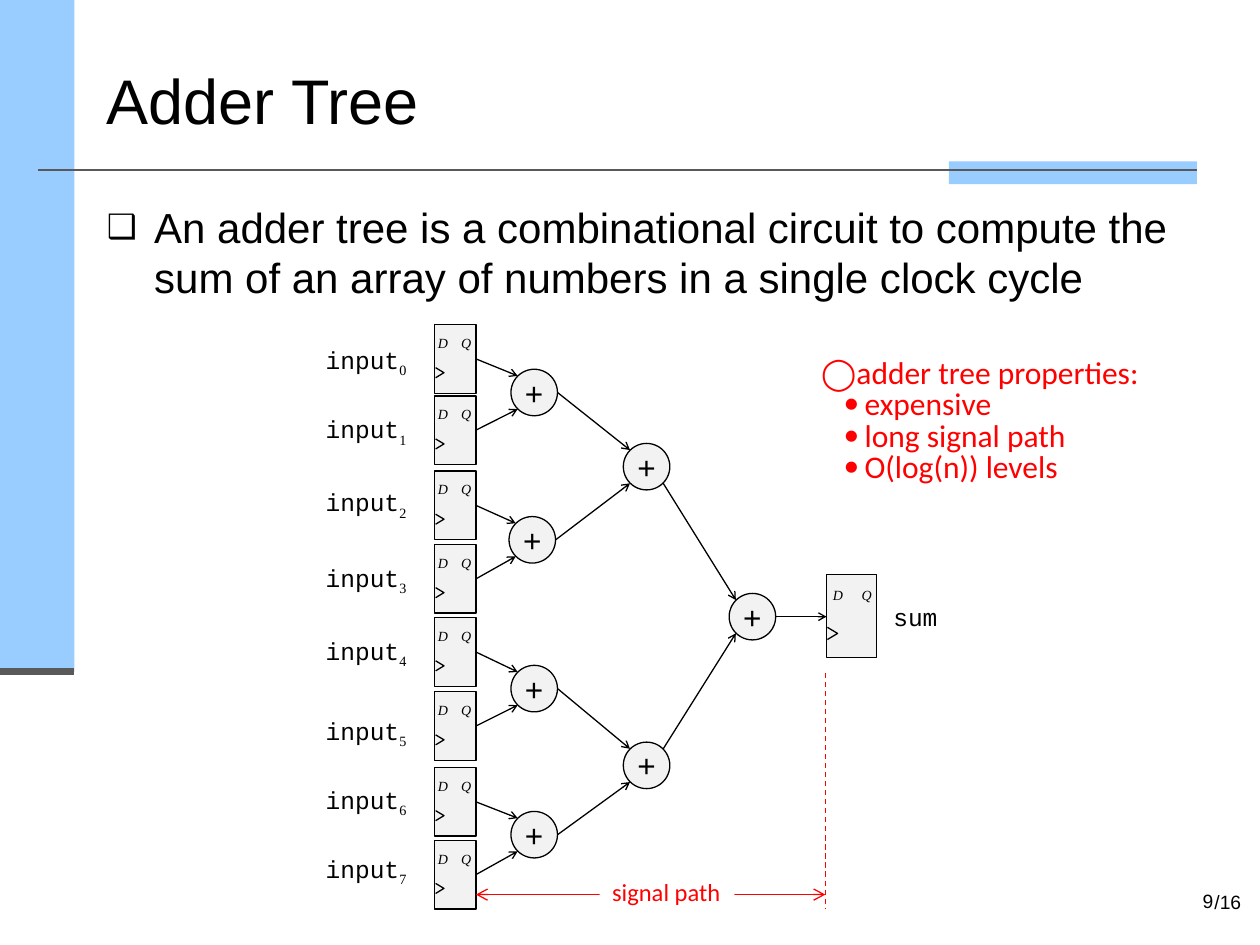
"""Build the adder tree slide."""
from lxml.etree import SubElement
from pptx import Presentation
from pptx.dml.color import RGBColor
from pptx.enum.dml import MSO_LINE
from pptx.enum.shapes import MSO_CONNECTOR, MSO_SHAPE
from pptx.enum.text import MSO_ANCHOR, PP_ALIGN
from pptx.oxml.ns import qn
from pptx.util import Pt

BLACK = RGBColor(0, 0, 0)
WHITE = RGBColor(255, 255, 255)
RED = RGBColor(255, 0, 0)
BLUE = RGBColor(0x99, 0xCC, 0xFF)
GRAY = RGBColor(0x59, 0x59, 0x59)
PALE = RGBColor(0xF2, 0xF2, 0xF2)

deck = Presentation()
deck.slide_width, deck.slide_height = Pt(720), Pt(540)
shapes = deck.slides.add_slide(deck.slide_layouts[6]).shapes


def text(lines, size, box=None, shape=None, font="Arial", color=BLACK,
         align=PP_ALIGN.LEFT, anchor=MSO_ANCHOR.TOP, wrap=True, italic=False,
         inset=(7.2, 3.6, 7.2, 3.6), sub="", fill=None, before=0, pitch=None,
         mark=None, plain=0):
    """Write lines into a shape or a new text box; mark is (char, percent, left, hang)."""
    shape = shape or shapes.add_textbox(*map(Pt, box))
    if fill:
        shape.fill.solid()
        shape.fill.fore_color.rgb = fill
    frame = shape.text_frame
    frame.word_wrap, frame.vertical_anchor = wrap, anchor
    (frame.margin_left, frame.margin_top,
     frame.margin_right, frame.margin_bottom) = map(Pt, inset)
    for i, line in enumerate(lines):
        para = frame.add_paragraph() if i else frame.paragraphs[0]
        para.alignment, para.space_before = align, Pt(before)
        if pitch:
            para.line_spacing = Pt(pitch)
        for part in filter(None, (line, sub)):
            run = para.add_run()
            run.text = part
            face = run.font
            face.size, face.name, face.italic = Pt(size), font, italic
            face.color.rgb = color
        if sub:
            face.name = "Times New Roman"
            face._element.set("baseline", "-25000")
        if mark and i >= plain:
            char, scale, left, hang = mark
            props = para._p.get_or_add_pPr()
            props.set("marL", str(Pt(left)))
            props.set("indent", str(-Pt(hang)))
            SubElement(props, qn("a:buSzPct"), val=str(scale * 1000))
            SubElement(props, qn("a:buFont"), typeface=font)
            SubElement(props, qn("a:buChar"), char=char)


def draw(x1, y1, x2, y2, color=BLACK, width=0.75, ends=(), head="sm", dash=None):
    """Draw a line, with open arrowheads at the named ends."""
    wire = shapes.add_connector(MSO_CONNECTOR.STRAIGHT, *map(Pt, (x1, y1, x2, y2)))
    wire.line.color.rgb, wire.line.width = color, Pt(width)
    if dash:
        wire.line.dash_style = dash
    for end in ends:
        SubElement(wire.line._get_or_add_ln(), qn("a:" + end), type="arrow",
                   w=head, len=head)
    SubElement(wire._element.spPr, qn("a:effectLst"))


for band in ((542.2, 92.2, 141.8, 13), (0, 0, 42.5, 383.8)):
    rect = shapes.add_shape(MSO_SHAPE.RECTANGLE, *map(Pt, band))
    rect.shadow.inherit = False
    rect.fill.solid()
    rect.fill.fore_color.rgb = BLUE
    rect.line.fill.background()
draw(0, 383.8, 42.5, 383.8, GRAY, 4)
draw(21.6, 97.2, 684, 97.2, GRAY, 1.5)

text(["/16"], 11, (686.9, 505.4, 30.2, 20.9), wrap=False)
text(["9"], 11, (516.2, 500.4, 184.3, 28.8), align=PP_ALIGN.RIGHT,
     anchor=MSO_ANCHOR.MIDDLE)
text(["Adder Tree"], 36, (54, 21.6, 630, 70.6), anchor=MSO_ANCHOR.MIDDLE)
text(["An adder tree is a combinational circuit to compute the sum of an array "
      "of numbers in a single clock cycle"], 24, (54, 111.6, 630, 370.8),
     before=4.8, mark=("\u2751", 80, 27, 27))

tops = (185.5, 226.2, 269.2, 311.2, 353, 395.3, 438.6, 480.2)
small = (23.6, 39.2, 24.6, 4.8,
         (("Q", 12.2, 10.8, 13.7, (2.9, 2.9, 2.9, 2.9)),
          ("D", 0.5, 11.5, 13.7, (1.4, 2.9, 2.9, 2.9))))
large = (28.8, 47.5, 30.2, 5.8,
         (("Q", 13, 13.7, 15.8, (7.2, 3.6, 4.3, 3.6)),
          ("D", -0.7, 13.7, 15.8, (4.3, 3.6, 7.2, 3.6))))
for x, y, kind in [(248.4, top, small) for top in tops] + [(472.3, 328.3, large)]:
    wide, high, drop, tip, pins = kind
    cell = shapes.add_shape(MSO_SHAPE.RECTANGLE, Pt(x), Pt(y), Pt(wide), Pt(high))
    pen = shapes.build_freeform(Pt(x + 0.5), Pt(y + drop), scale=1.0)
    pen.add_line_segments([(Pt(x + 0.5 + tip), Pt(y + drop + tip * 0.6)),
                           (Pt(x + 0.5), Pt(y + drop + tip * 1.2))], close=False)
    clock = pen.convert_to_shape()
    cell.fill.solid()
    cell.fill.fore_color.rgb = PALE
    clock.fill.background()
    for part in (cell, clock):
        part.shadow.inherit = False
        part.line.color.rgb, part.line.width = BLACK, Pt(0.75)
    for pin, dx, w, h, inset in pins:
        text([pin], 8, (x + dx, y + high * 0.07, w, h), font="Times New Roman",
             italic=True, inset=inset)

labels = (193.7, 233.3, 275, 318.2, 360, 405.4, 445, 484.6)
for i, top in enumerate(labels):
    text(["input"], 14, (179, top, 61.2, 24.5), font="Courier New", sub=str(i),
         wrap=False)
text(["sum"], 14, (507.6, 344.2, 36, 20.2), font="Courier New",
     inset=(2.9, 0, 2.9, 2.9), fill=WHITE)

size, near, far = 26.6, 3.8, 22.8
leaves = [(292, 211), (290.9, 295.2), (292, 380.2), (292, 463.7)]
mids = [(356.2, 253.4), (356.2, 424.1)]
root = (416.7, 339.1)
for x, y in leaves + mids + [root]:
    node = shapes.add_shape(MSO_SHAPE.OVAL, Pt(x), Pt(y), Pt(size), Pt(size))
    node.shadow.inherit = False
    node.line.color.rgb, node.line.width = BLACK, Pt(0.75)
    text(["+"], 18, shape=node, align=PP_ALIGN.CENTER, anchor=MSO_ANCHOR.MIDDLE,
         inset=(0, 0, 0, 0), fill=PALE)

outs = [(272, top + 19.6) for top in tops]
turns = [(x + size, y + size / 2) for x, y in leaves]
rises = [(x + far, y + dy) for (x, y), dy in zip(mids, (far, near))]
for starts, nodes in ((outs, leaves), (turns, mids), (rises, [root])):
    for i, (x, y) in enumerate(starts):
        left, top = nodes[i // 2]
        draw(x, y, left + near, top + (far if i % 2 else near), ends=["tailEnd"])
draw(root[0] + size, 352.4, 472.3, 352.4, ends=["tailEnd"])

draw(272, 511.2, 471.6, 511.2, RED, ends=["headEnd", "tailEnd"], head="med")
draw(471.6, 384.5, 471.6, 519.1, RED, dash=MSO_LINE.DASH)
text(["signal path"], 14, (342.7, 497.5, 77, 24.5), font="Calibri", color=RED,
     wrap=False, fill=WHITE)
text(["\u25efadder tree properties:", "expensive", "long signal path",
      "O(log(n)) levels"], 18, (462.2, 201.6, 196.6, 79.9), font="Calibri",
     color=RED, wrap=False, pitch=18, mark=("\u2022", 100, 24.8, 12), plain=1)

deck.save("out.pptx")
